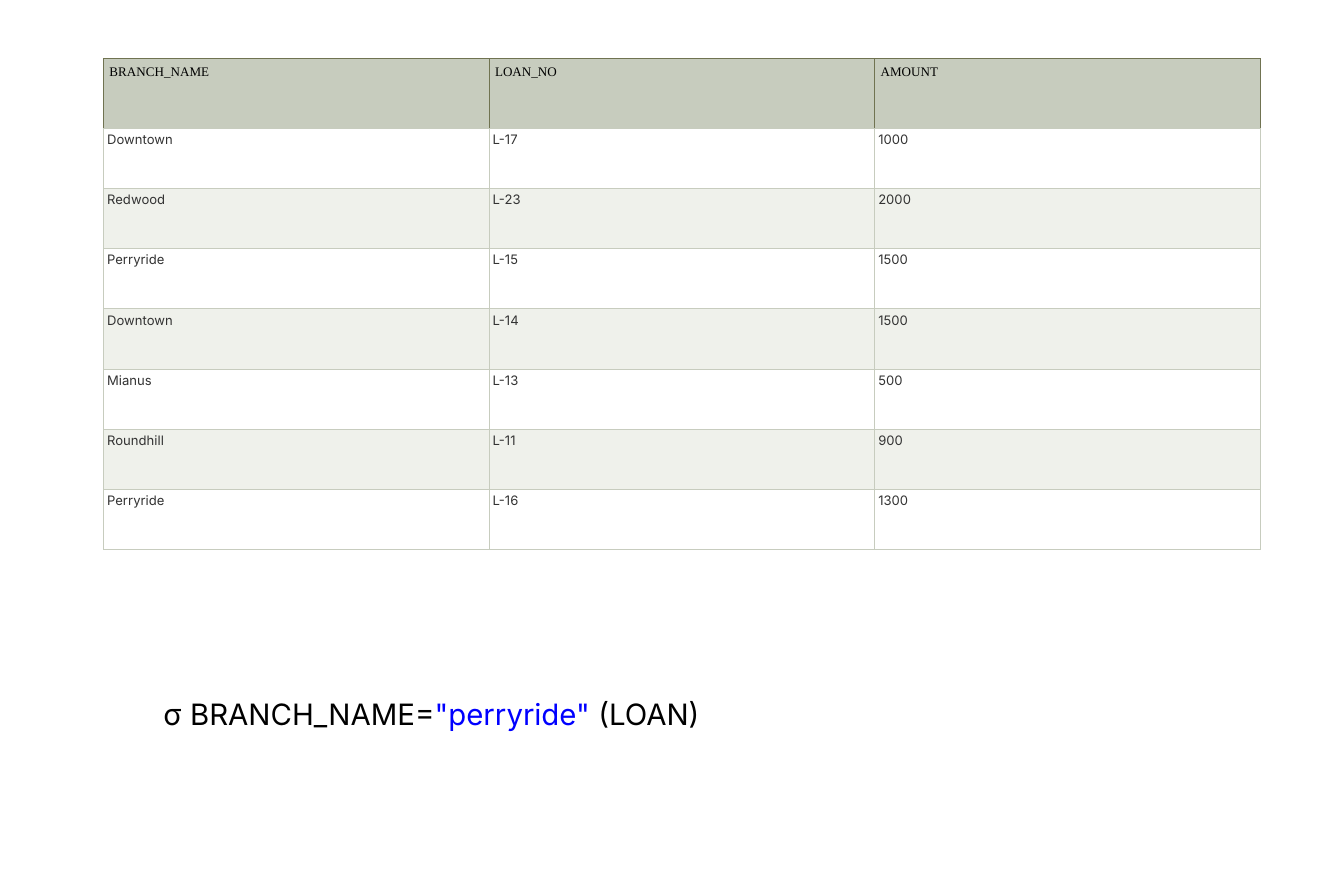
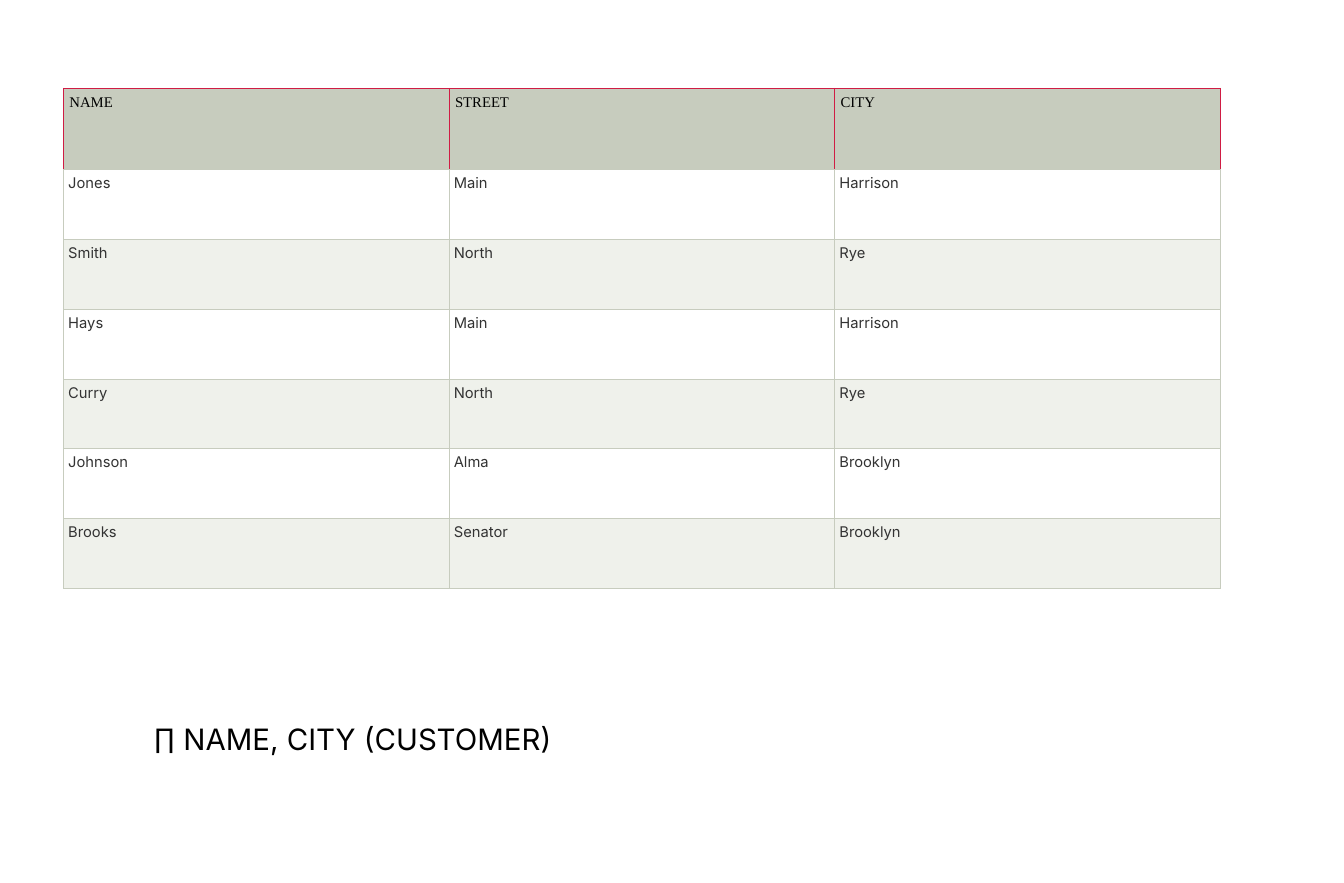
from lxml.etree import SubElement
from pptx import Presentation
from pptx.dml.color import RGBColor
from pptx.enum.text import MSO_ANCHOR, MSO_AUTO_SIZE, PP_ALIGN
from pptx.oxml.ns import qn
from pptx.util import Inches, Pt

COLORS = {
    "header": "C7CCBE", "grid": "C7CCBE", "olive": "707351", "crimson": "D01C44",
    "plain": "FFFFFF", "band": "EFF1EB", "text": "333333", "black": "000000", "literal": "0000FF",
}
HEADER_FONT, BODY_FONT = "Times New Roman", "Inter"
SLIDE_SIZE = (11.42, 7.5)
TABLE_WIDTH = 9.83
HEADER_INSET = 0.05
FORMULA_SIZE = 18

SLIDES = [
    {
        "rows": [
            ("BRANCH_NAME", "LOAN_NO", "AMOUNT"),
            ("Downtown", "L-17", "1000"),
            ("Redwood", "L-23", "2000"),
            ("Perryride", "L-15", "1500"),
            ("Downtown", "L-14", "1500"),
            ("Mianus", "L-13", "500"),
            ("Roundhill", "L-11", "900"),
            ("Perryride", "L-16", "1300"),
        ],
        "table_at": (0.88, 0.5), "table_height": 4.17, "header_height": 0.59,
        "size": 8, "inset": 0.03, "header_edge": "olive",
        "formula": [("σ BRANCH_NAME=", "black"), ('"perryride"', "literal"), (" (LOAN)", "black")],
        "formula_box": (1.29, 5.86, 10.31, 0.4), "formula_align": PP_ALIGN.JUSTIFY,
    },
    {
        "rows": [
            ("NAME", "STREET", "CITY"),
            ("Jones", "Main", "Harrison"),
            ("Smith", "North", "Rye"),
            ("Hays", "Main", "Harrison"),
            ("Curry", "North", "Rye"),
            ("Johnson", "Alma", "Brooklyn"),
            ("Brooks", "Senator", "Brooklyn"),
        ],
        "table_at": (0.54, 0.75), "table_height": 4.25, "header_height": 0.69,
        "size": 9, "inset": 0.04, "header_edge": "crimson",
        "formula": [("∏ NAME, CITY (CUSTOMER)", "black")],
        "formula_box": (1.21, 6.08, 5.71, 0.4), "formula_align": PP_ALIGN.LEFT,
    },
]


def add_run(paragraph, text, font_name, size, color):
    run = paragraph.add_run()
    run.text = text
    run.font.name = font_name
    run.font.size = Pt(size)
    run.font.color.rgb = RGBColor.from_string(COLORS[color])


def set_borders(cell, edge, bottom):
    properties = cell._tc.get_or_add_tcPr()
    for side, color in (("L", edge), ("R", edge), ("T", edge), ("B", bottom)):
        line = SubElement(properties, qn(f"a:ln{side}"), w=str(Pt(0.75)))
        fill = SubElement(line, qn("a:solidFill"))
        SubElement(fill, qn("a:srgbClr"), val=COLORS[color])


def format_cell(cell, text, row_index, content):
    is_header = row_index == 0
    if is_header:
        inset, fill, edge = HEADER_INSET, "header", content["header_edge"]
        font_name, color, align = HEADER_FONT, "black", PP_ALIGN.LEFT
    else:
        inset, fill, edge = content["inset"], "plain" if row_index % 2 else "band", "grid"
        font_name, color, align = BODY_FONT, "text", PP_ALIGN.JUSTIFY
    cell.margin_left = cell.margin_right = Inches(inset)
    cell.margin_top = cell.margin_bottom = Inches(inset)
    cell.vertical_anchor = MSO_ANCHOR.TOP
    set_borders(cell, edge, "grid")
    cell.fill.solid()
    cell.fill.fore_color.rgb = RGBColor.from_string(COLORS[fill])
    paragraph = cell.text_frame.paragraphs[0]
    paragraph.alignment = align
    add_run(paragraph, text, font_name, content["size"], color)


def add_relation(slide, content):
    rows = content["rows"]
    left, top = content["table_at"]
    height, header_height = content["table_height"], content["header_height"]
    table = slide.shapes.add_table(
        len(rows), len(rows[0]), Inches(left), Inches(top), Inches(TABLE_WIDTH), Inches(height)
    ).table
    table.first_row = True
    table.horz_banding = False
    body_height = (height - header_height) / (len(rows) - 1)
    for row_index, values in enumerate(rows):
        table.rows[row_index].height = Inches(body_height if row_index else header_height)
        for column_index, text in enumerate(values):
            format_cell(table.cell(row_index, column_index), text, row_index, content)


def add_formula(slide, content):
    box = slide.shapes.add_textbox(*map(Inches, content["formula_box"]))
    frame = box.text_frame
    frame.word_wrap = True
    frame.auto_size = MSO_AUTO_SIZE.SHAPE_TO_FIT_TEXT
    paragraph = frame.paragraphs[0]
    paragraph.alignment = content["formula_align"]
    for text, color in content["formula"]:
        add_run(paragraph, text, BODY_FONT, FORMULA_SIZE, color)


def main():
    presentation = Presentation()
    presentation.slide_width, presentation.slide_height = map(Inches, SLIDE_SIZE)
    blank_layout = presentation.slide_layouts[6]
    for content in SLIDES:
        slide = presentation.slides.add_slide(blank_layout)
        add_relation(slide, content)
        add_formula(slide, content)
    presentation.save("out.pptx")


if __name__ == "__main__":
    main()
